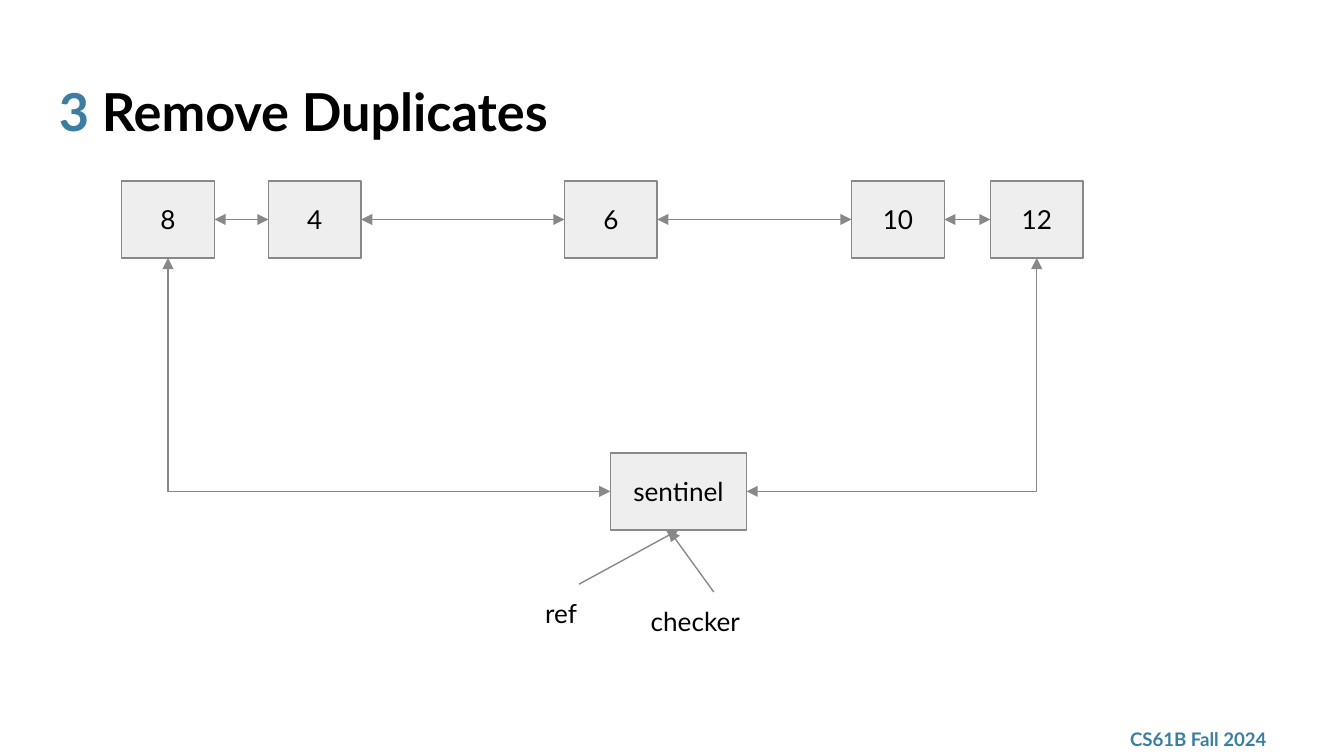
import pptx
import pptx.dml.color
import pptx.enum.shapes
import pptx.enum.text
import pptx.oxml
import pptx.oxml.ns
import pptx.util

Pt = pptx.util.Pt
Anchor = pptx.enum.text.MSO_ANCHOR
Connector = pptx.enum.shapes.MSO_CONNECTOR
COLORS = {"text": "000000", "accent": "3B7EA1", "fill": "EEEEEE", "line": "888888"}


class Painter:
    """Draws styled elements on the current page."""

    font = "Lato"
    inset = 7.2
    line_width = 0.75

    def __init__(self, page):
        self.page = page

    def color(self, name):
        return pptx.dml.color.RGBColor.from_string(COLORS[name])

    def add_text(self, shape, spans, size, bold, anchor, align):
        frame = shape.text_frame
        frame.word_wrap = True
        frame.vertical_anchor = anchor
        frame.margin_left = frame.margin_right = Pt(self.inset)
        frame.margin_top = frame.margin_bottom = Pt(self.inset)
        para = frame.paragraphs[0]
        para.alignment = align
        for text, color in spans:
            span = para.add_run()
            span.text = text
            span.font.name = self.font
            span.font.size = Pt(size)
            span.font.bold = bold
            span.font.color.rgb = self.color(color)

    def label(self, place, spans, size=14, bold=False, anchor=Anchor.TOP):
        box = self.page.shapes.add_textbox(*map(Pt, place))
        self.add_text(box, spans, size, bold, anchor, pptx.enum.text.PP_ALIGN.LEFT)

    def node(self, place, text):
        box = self.page.shapes.add_shape(
            pptx.enum.shapes.MSO_SHAPE.RECTANGLE, *map(Pt, place))
        box.shadow.inherit = False
        box.fill.solid()
        box.fill.fore_color.rgb = self.color("fill")
        box.line.color.rgb = self.color("line")
        box.line.width = Pt(self.line_width)
        self.add_text(box, [(text, "text")], 14, False, Anchor.MIDDLE,
                      pptx.enum.text.PP_ALIGN.CENTER)

    def arrow(self, start, end, both=True, bent=False):
        kind = Connector.ELBOW if bent else Connector.STRAIGHT
        link = self.page.shapes.add_connector(kind, *map(Pt, start + end))
        link.line.color.rgb = self.color("line")
        link.line.width = Pt(self.line_width)
        properties = link._element.spPr
        if bent:
            properties.find(pptx.oxml.ns.qn("a:prstGeom")).set("prst", "bentConnector2")
        outline = properties.find(pptx.oxml.ns.qn("a:ln"))
        for tag in ("headEnd", "tailEnd") if both else ("tailEnd",):
            outline.append(self.element(tag, ' type="triangle"'))
        properties.append(self.element("effectLst"))

    def element(self, tag, attributes=""):
        return pptx.oxml.parse_xml(
            f'<a:{tag} {pptx.oxml.ns.nsdecls("a")}{attributes}/>')


def main():
    deck = pptx.Presentation()
    deck.slide_width, deck.slide_height = Pt(720), Pt(405)
    painter = Painter(deck.slides.add_slide(deck.slide_layouts[6]))

    painter.label((598.3, 386.6, 97.2, 18.7), [("CS61B Fall 2024", "accent")],
                  size=10, bold=True, anchor=Anchor.MIDDLE)
    painter.label((24.5, 35.4, 671, 45), [("3 ", "accent"), ("Remove Duplicates", "text")],
                  size=28, bold=True)

    top, width, height = 97, 49.7, 41.2
    middle, bottom = top + height / 2, top + height
    nodes = [("8", 65.2), ("4", 143.8), ("6", 302.4), ("10", 456.2), ("12", 530.6)]
    for text, left in nodes:
        painter.node((left, top, width, height), text)
    for (_, left), (_, following) in zip(nodes, nodes[1:]):
        painter.arrow((left + width, middle), (following, middle))

    sentinel_left, sentinel_top, sentinel_width = 327, 242.7, 73
    sentinel_middle = sentinel_top + height / 2
    sentinel_bottom = sentinel_top + height
    painter.node((sentinel_left, sentinel_top, sentinel_width, height), "sentinel")
    ends = [(sentinel_left, nodes[0]), (sentinel_left + sentinel_width, nodes[-1])]
    for side, (_, left) in ends:
        painter.arrow((side, sentinel_middle), (left + width / 2, bottom), bent=True)

    pointers = [
        ("ref", (285, 313, 42.5, 24.5), (310.2, 313), 363.5),
        ("checker", (341.5, 317.2, 82, 24.5), (382.4, 317.2), 358.3),
    ]
    for text, place, start, target in pointers:
        painter.arrow(start, (target, sentinel_bottom), both=False)
        painter.label(place, [(text, "text")])

    deck.save("out.pptx")


if __name__ == "__main__":
    main()
